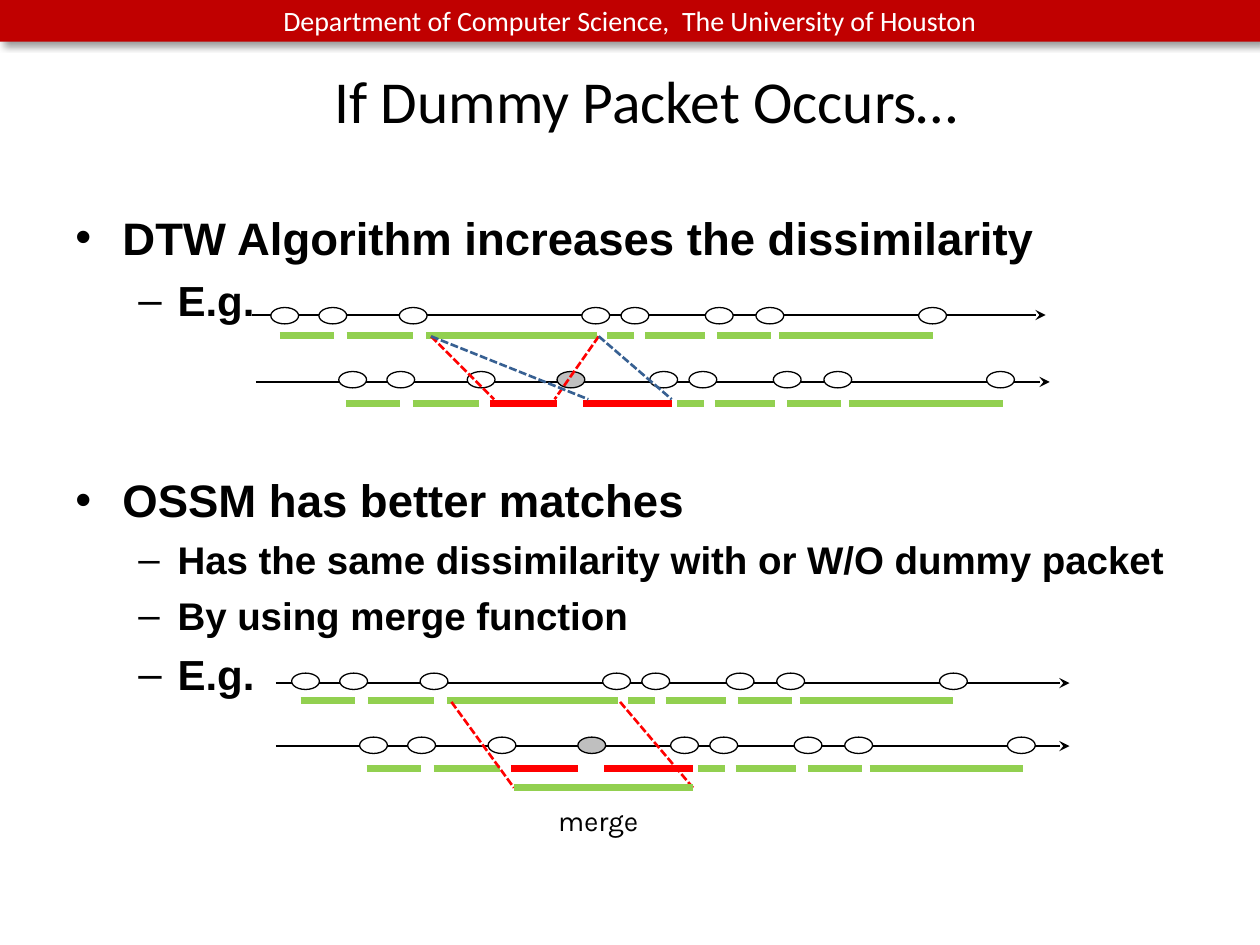
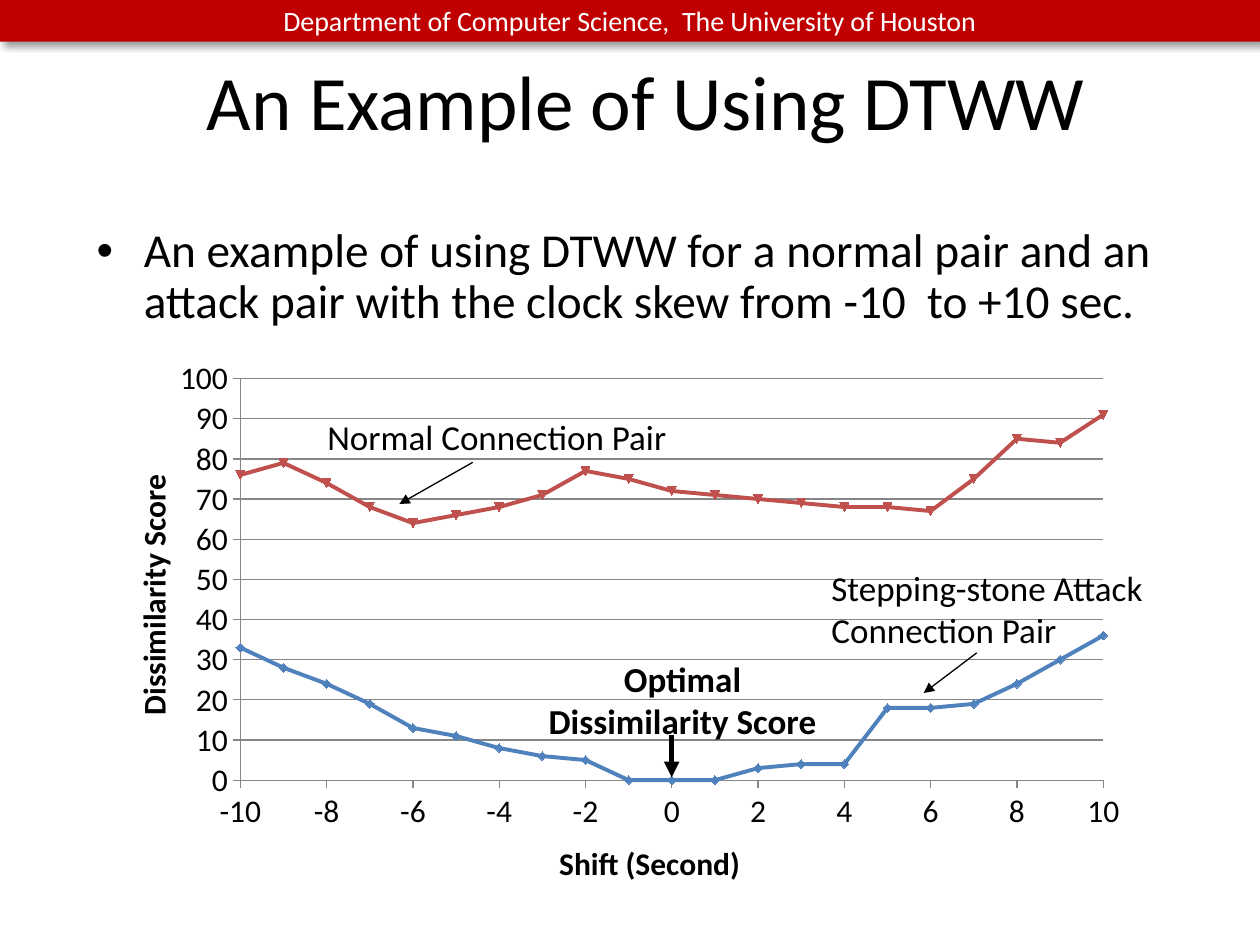
from dataclasses import dataclass

from lxml import etree
from pptx import Presentation
from pptx.chart.data import XyChartData
from pptx.dml.color import RGBColor
from pptx.enum.chart import (XL_AXIS_CROSSES, XL_CHART_TYPE, XL_MARKER_STYLE,
                             XL_TICK_MARK)
from pptx.enum.dml import MSO_LINE
from pptx.enum.shapes import MSO_CONNECTOR, MSO_SHAPE
from pptx.enum.text import MSO_ANCHOR, MSO_AUTO_SIZE, PP_ALIGN
from pptx.oxml import parse_xml
from pptx.oxml.ns import nsdecls, qn
from pptx.util import Cm, Pt

TITLE_ONLY = 5
RECT, OVAL = MSO_SHAPE.RECTANGLE, MSO_SHAPE.OVAL
STRAIGHT, DASH = MSO_CONNECTOR.STRAIGHT, MSO_LINE.SQUARE_DOT
LEFT, CENTER, MIDDLE = PP_ALIGN.LEFT, PP_ALIGN.CENTER, MSO_ANCHOR.MIDDLE
NO_FIT = MSO_AUTO_SIZE.NONE
SCATTER, AUTO = XL_CHART_TYPE.XY_SCATTER_LINES, XL_MARKER_STYLE.AUTOMATIC
TICK_OUT, TICK_NONE = XL_TICK_MARK.OUTSIDE, XL_TICK_MARK.NONE
AT_MIN = XL_AXIS_CROSSES.MINIMUM


@dataclass(frozen=True)
class Theme:
    band: str = "C00000"
    ink: str = "000000"
    paper: str = "FFFFFF"
    gray: str = "BFBFBF"
    grid: str = "868686"
    green: str = "92D050"
    red: str = "FF0000"
    blue: str = "376092"
    attack: str = "4F81BD"
    normal: str = "C0504D"
    sans: str = "Calibri"
    bold: str = "Arial"
    tag: str = "Karla"
    small: int = 16
    axis: int = 18
    note: int = 20
    sub: int = 22
    eg: int = 24
    point: int = 26
    lead: int = 27
    long: int = 34
    title: int = 44


T = Theme()

# Packet timeline, in cm from the start of its upper axis
BEADS = (0.38, 1.35, 2.97, 6.65, 7.44, 9.14, 10.16, 13.44)
GAPS = ((0.56, 1.65), (1.91, 3.25), (3.51, 6.96), (7.16, 7.7),
        (7.92, 9.14), (9.37, 10.46), (10.62, 13.72))
SPLIT = ((4.8, 6.15), (6.68, 8.46))
DUMMY = 6.15
BEAD_LAG, EARLY_LAG, LATE_LAG = 1.37, 1.33, 1.41
SPAN = 16

ATTACK = (33, 28, 24, 19, 13, 11, 8, 6, 5, 0, 0, 0, 3, 4, 4, 18, 18, 19, 24,
          30, 36)
NORMAL = (76, 79, 74, 68, 64, 66, 68, 71, 77, 75, 72, 71, 70, 69, 68, 68, 67,
          75, 85, 84, 91)


def rgb(code):
    return RGBColor.from_string(code)


def style(font, size, face=T.sans, color=T.ink, bold=False):
    font.size, font.name, font.bold = Pt(size), face, bold
    font.color.rgb = rgb(color)


def write(para, text, size, **look):
    run = para.add_run()
    run.text = text
    style(run.font, size, **look)


def band(slide):
    bar = slide.shapes.add_shape(RECT, 0, 0, Cm(25.4), Cm(0.84))
    bar.fill.solid()
    bar.fill.fore_color.rgb = rgb(T.band)
    bar.line.fill.background()
    bar.shadow.inherit = False
    glow = bar.element.spPr.find(qn("a:effectLst"))
    glow.append(parse_xml(
        f'<a:outerShdw {nsdecls("a")} blurRad="{Pt(4)}" dist="{Pt(3)}" '
        f'dir="2700000" rotWithShape="0"><a:srgbClr val="{T.ink}">'
        '<a:alpha val="40000"/></a:srgbClr></a:outerShdw>'))
    frame = bar.text_frame
    frame.vertical_anchor = MIDDLE
    para = frame.paragraphs[0]
    para.alignment = CENTER
    write(para, "Department of Computer Science,  The University of Houston",
          T.small, color=T.paper)


def page(prs, text, size):
    """Add a slide with the shared band and a formatted title."""
    slide = prs.slides.add_slide(prs.slide_layouts[TITLE_ONLY])
    band(slide)
    head = slide.shapes.title
    head.left, head.top, head.width, head.height = (
        Cm(1.7), Cm(0.64), Cm(22.66), Cm(2.74))
    frame = head.text_frame
    frame.auto_size, frame.vertical_anchor = NO_FIT, MIDDLE
    para = frame.paragraphs[0]
    para.alignment = CENTER
    write(para, text, size)
    return slide


def box(slide, left, top, width, height):
    shape = slide.shapes.add_textbox(Cm(left), Cm(top), Cm(width), Cm(height))
    shape.text_frame.word_wrap = True
    return shape.text_frame


def note(slide, place, text, size=T.note, align=LEFT, **look):
    para = box(slide, *place).paragraphs[0]
    para.alignment = align
    write(para, text, size, **look)


def bullet(para, mark, left, hang):
    props = para._p.get_or_add_pPr()
    props.set("marL", str(Cm(left)))
    props.set("indent", str(-Cm(hang)))
    etree.SubElement(props, qn("a:buFont")).set("typeface", T.bold)
    etree.SubElement(props, qn("a:buChar")).set("char", mark)


def points(slide, place, items, face, bold=False, pitch=None):
    """Fill a box with bullets given as (level, text, size, space before)."""
    frame = box(slide, *place)
    for i, (level, text, size, gap) in enumerate(items):
        para = frame.add_paragraph() if i else frame.paragraphs[0]
        bullet(para, *(("–", 2.06, 0.79) if level else ("•", 0.95, 0.95)))
        para.space_before = Pt(gap)
        if pitch:
            para.line_spacing = pitch
        write(para, text, size, face=face, bold=bold)


def line(slide, start, end, color=T.ink, width=1.5, head=None, dash=None):
    link = slide.shapes.add_connector(
        STRAIGHT, *(Cm(v) for v in (*start, *end)))
    link.line.color.rgb = rgb(color)
    link.line.width = Pt(width)
    if dash:
        link.line.dash_style = dash
    props = link.element.spPr
    if head:
        etree.SubElement(props.find(qn("a:ln")), qn("a:tailEnd")).set(
            "type", head)
    etree.SubElement(props, qn("a:effectLst"))


def bars(slide, spans, x, y, color=T.green):
    for start, end in spans:
        line(slide, (x + start, y), (x + end, y), color, 4)


def beads(slide, lefts, x, y, color=T.paper):
    for left in lefts:
        oval = slide.shapes.add_shape(OVAL, Cm(x + left), Cm(y), Cm(0.56),
                                      Cm(0.33))
        oval.shadow.inherit = False
        oval.fill.solid()
        oval.fill.fore_color.rgb = rgb(color)
        oval.line.color.rgb = rgb(T.ink)
        oval.line.width = Pt(0.75)


def flow(slide, x, y, axes, links, foot):
    """Draw two packet streams; links run from the upper gaps to foot."""
    for dx, dy in axes:
        line(slide, (x + dx, y + dy), (x + dx + SPAN, y + dy), head="stealth")
    bars(slide, GAPS, x, y + 0.41)
    beads(slide, BEADS, x, y - 0.15)
    beads(slide, BEADS, x + BEAD_LAG, y + 1.14)
    beads(slide, [DUMMY], x, y + 1.14, T.gray)
    bars(slide, GAPS[:2], x + EARLY_LAG, y + 1.78)
    bars(slide, GAPS[3:], x + LATE_LAG, y + 1.78)
    bars(slide, SPLIT, x, y + 1.78, T.red)
    for start, end, color in links:
        line(slide, (x + start, y + 0.43), (x + end, y + foot), color,
             dash=DASH)


def scale(axis, low, high, step, text):
    axis.minimum_scale, axis.maximum_scale = low, high
    axis.major_unit = step
    axis.major_tick_mark, axis.minor_tick_mark = TICK_OUT, TICK_NONE
    axis.format.line.color.rgb = rgb(T.grid)
    style(axis.tick_labels.font, T.axis)
    axis.tick_labels.number_format = "General"
    axis.tick_labels.number_format_is_linked = False
    write(axis.axis_title.text_frame.paragraphs[0], text, T.axis, bold=True)


def arrange(chart, **spot):
    """Fix the inner plot area as shares of the chart size."""
    area = chart._chartSpace.chart.plotArea
    for old in area.findall(qn("c:layout")):
        area.remove(old)
    parts = "".join(f'<c:{k} val="{v}"/>' for k, v in spot.items())
    area.insert(0, parse_xml(
        f'<c:layout {nsdecls("c")}><c:manualLayout>'
        '<c:layoutTarget val="inner"/><c:xMode val="edge"/>'
        f'<c:yMode val="edge"/>{parts}</c:manualLayout></c:layout>'))


def plot(slide):
    data = XyChartData()
    for name, scores in (("Series 1", ATTACK), ("Series 2", NORMAL)):
        series = data.add_series(name)
        for shift, score in enumerate(scores, -10):
            series.add_data_point(shift, score)
    chart = slide.shapes.add_chart(
        SCATTER, Cm(2.54), Cm(7.2), Cm(20.96), Cm(10.8), data).chart
    style(chart.font, T.axis)
    chart.has_title = chart.has_legend = False
    chart.plots[0].vary_by_categories = False
    across, up = chart.category_axis, chart.value_axis
    scale(across, -10, 10, 2, "Shift (Second)")
    scale(up, 0, 100, 10, "Dissimilarity Score")
    across.crosses = up.crosses = AT_MIN
    across.has_major_gridlines = False
    up.major_gridlines.format.line.color.rgb = rgb(T.grid)
    for series, color in zip(chart.plots[0].series, (T.attack, T.normal)):
        series.smooth = False
        series.format.line.color.rgb = rgb(color)
        series.format.line.width = Pt(2.25)
        mark = series.marker
        mark.style, mark.size = AUTO, 5
        mark.format.fill.solid()
        mark.format.fill.fore_color.rgb = rgb(color)
        mark.format.line.color.rgb = rgb(color)
    arrange(chart, x=0.11, y=0.04, w=0.83, h=0.75)


def dummy(prs):
    slide = page(prs, "If Dummy Packet Occurs…", T.long)
    points(slide, (1.27, 4.1, 23.06, 13.12), (
        (0, "DTW Algorithm increases the dissimilarity", T.point, 0),
        (1, "E.g.", T.eg, 6),
        (0, "OSSM has better matches", T.point, 84),
        (1, "Has the same dissimilarity with or W/O dummy packet", T.sub, 5.5),
        (1, "By using merge function", T.sub, 5.5),
        (1, "E.g.", T.eg, 6)), T.bold, bold=True)
    flow(slide, 5.08, 6.35, ((0, 0), (0.08, 1.35)),
         ((3.61, 4.88, T.red), (6.99, 6.1, T.red),
          (6.99, 8.46, T.blue), (3.61, 6.78, T.blue)), 1.7)
    x, y, foot = 5.5, 13.72, 2.16
    merged = (4.86, 8.47)
    flow(slide, x, y, ((0.06, 0.05), (0.06, 1.32)),
         ((3.6, merged[0], T.red), (7, merged[1], T.red)), foot)
    bars(slide, [merged], x, y + foot)
    note(slide, (11, 16.08, 2.74, 0.94), "merge", T.small, face=T.tag)


def example(prs):
    slide = page(prs, "An Example of Using DTWW", T.title)
    points(slide, (1.7, 4.45, 22.66, 2.97), (
        (0, "An example of using DTWW for a normal pair and an attack pair "
            "with the clock skew from -10  to +10 sec.", T.lead, 0),),
        T.sans, pitch=0.9)
    plot(slide)
    line(slide, (19.69, 13.16), (18.62, 13.97), width=0.75, head="triangle")
    note(slide, (16.51, 11.3, 7.52, 2.03),
         "Stepping-stone Attack Connection Pair")
    line(slide, (9.53, 9.32), (8.05, 10.16), width=0.75, head="triangle")
    note(slide, (6.35, 8.26, 7.42, 1.3), "Normal Connection Pair")
    line(slide, (13.54, 14.81), (13.54, 15.67), width=3, head="triangle")
    note(slide, (10.8, 13.13, 5.92, 1.27), "Optimal Dissimilarity Score",
         align=CENTER, bold=True)


def main():
    prs = Presentation()
    prs.slide_width, prs.slide_height = Cm(25.4), Cm(19.05)
    dummy(prs)
    example(prs)
    prs.save("out.pptx")


if __name__ == "__main__":
    main()
